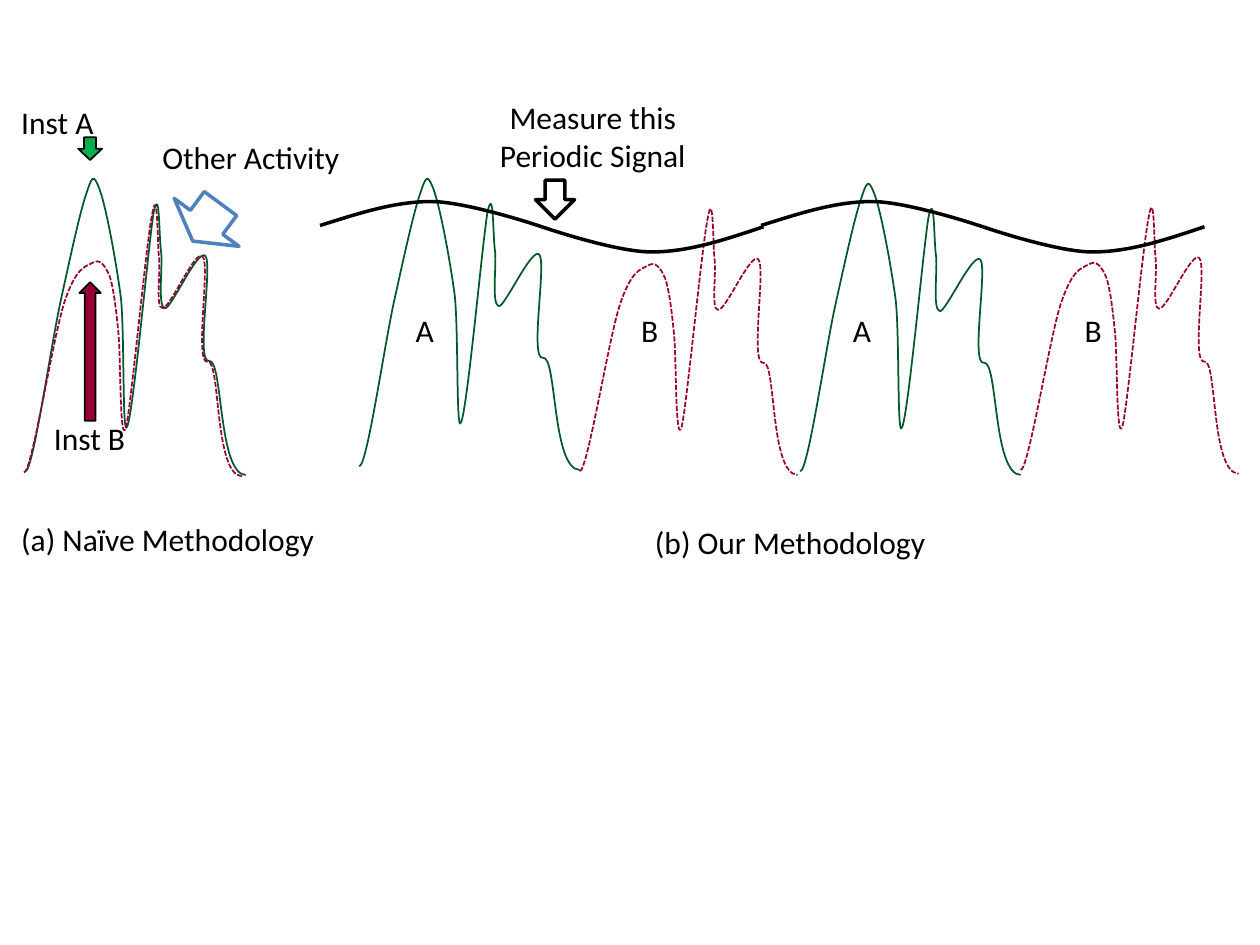
from dataclasses import dataclass

from lxml import etree
from pptx import Presentation
from pptx.dml.color import RGBColor
from pptx.enum.dml import MSO_LINE
from pptx.enum.shapes import MSO_SHAPE
from pptx.enum.text import MSO_AUTO_SIZE, PP_ALIGN
from pptx.oxml.ns import qn
from pptx.util import Pt

PX = 9144  # EMU in one px, 100 px to the inch
BLANK_LAYOUT = 6
DOWN_ARROW = MSO_SHAPE.DOWN_ARROW
SHORT_DASH = MSO_LINE.SQUARE_DOT
CENTER, LEFT = PP_ALIGN.CENTER, PP_ALIGN.LEFT
FIT_SHAPE = MSO_AUTO_SIZE.SHAPE_TO_FIT_TEXT


@dataclass(frozen=True)
class Theme:
    font: str = "Calibri"
    size: int = 18
    ink: str = "000000"
    inst_a: str = "005828"
    inst_b: str = "990033"
    marker_a: str = "00B050"
    other: str = "4F81BD"
    thin: int = 1
    thick: int = 2


THEME = Theme()

# Text, left, top, width, height, alignment
LABELS = [
    ("Inst A", 7, 77, 78, 40, LEFT),
    ("Inst B", 33, 328, 77, 40, LEFT),
    ("Other Activity", 119, 105, 162, 40, LEFT),
    ("Measure this\nPeriodic Signal", 386, 73, 169, 71, CENTER),
    ("A", 320, 242, 35, 40, LEFT),
    ("B", 499, 242, 34, 40, LEFT),
    ("A", 667, 242, 35, 40, LEFT),
    ("B", 851, 242, 34, 40, LEFT),
    ("(a) Naïve Methodology", 7, 408, 255, 40, LEFT),
    ("(b) Our Methodology", 510, 410, 237, 40, LEFT),
]

# Curves: design height, then start point and (control, control, end) triples
SIGNAL_A = (231, [
    (0, 228), (6, 230), (20, 132), (28, 96), (36, 60), (43, 28), (48, 13),
    (53, -2), (54, -5), (59, 8), (64, 21), (72, 63), (76, 93),
    (79, 124), (77, 205), (81, 193), (86, 182), (98, 49), (102, 26),
    (107, 4), (106, 46), (108, 58), (109, 71), (105, 100), (111, 101),
    (116, 101), (137, 54), (143, 60), (149, 67), (135, 144), (146, 142),
    (157, 140), (153, 230), (175, 231),
])
SIGNAL_B = (211, [
    (0, 208), (6, 210), (23, 103), (32, 76), (41, 49), (48, 48), (54, 45),
    (60, 41), (64, 46), (68, 55), (71, 64), (73, 79), (75, 99),
    (77, 119), (76, 189), (81, 173), (85, 158), (97, 29), (102, 6),
    (106, -16), (106, 26), (107, 38), (109, 51), (104, 80), (110, 80),
    (116, 81), (136, 33), (142, 40), (148, 47), (135, 124), (146, 122),
    (156, 120), (151, 210), (173, 211),
])
CREST = (20, [(0, 19), (29, 10), (58, 0), (88, 0), (117, 0), (176, 20), (176, 20)])
TROUGH = (20, [(0, 0), (0, 0), (58, 20), (87, 20), (117, 20), (146, 10), (176, 0)])

# Line style of each curve: colour, width, dash
STYLE_A = (THEME.inst_a, THEME.thin, None)
STYLE_B = (THEME.inst_b, THEME.thin, SHORT_DASH)
STYLE_WAVE = (THEME.ink, THEME.thick, None)

# Curve, left, top, height, style
NAIVE_SIGNALS = [(SIGNAL_A, 20, 142, 235, STYLE_A), (SIGNAL_B, 19, 163, 215, STYLE_B)]
OUR_SIGNALS = [
    (SIGNAL_A, 285, 142, 231, STYLE_A),
    (SIGNAL_B, 460, 166, 211, STYLE_B),
    (SIGNAL_A, 635, 146, 231, STYLE_A),
    (SIGNAL_B, 810, 165, 211, STYLE_B),
]
PERIOD = 350
PERIODIC_SIGNAL = [
    (curve, left + PERIOD * cycle, top, 20, STYLE_WAVE)
    for cycle in range(2)
    for curve, left, top in [(CREST, 254, 160), (TROUGH, 430, 180)]
]

# Left, top, width, height, rotation, fill, line colour, line width
INST_B_ARROW = (63, 224, 17, 110, 180, THEME.inst_b, THEME.ink, THEME.thin)
POINTERS = [
    (62, 109, 19, 18, 0, THEME.marker_a, THEME.ink, THEME.thin),
    (425, 143, 31, 31, 0, None, THEME.ink, THEME.thick),
    (132, 158, 64, 37, 36.5, None, THEME.other, THEME.thick),
]


def format_shape(shape, fill, line, width):
    shape.shadow.inherit = False
    if fill:
        shape.fill.solid()
        shape.fill.fore_color.rgb = RGBColor.from_string(fill)
    else:
        shape.fill.background()
    shape.line.color.rgb = RGBColor.from_string(line)
    shape.line.width = Pt(width)


def add_command(outline, tag, points):
    command = etree.SubElement(outline, qn(tag))
    for x, y in points:
        etree.SubElement(command, qn("a:pt"), x=str(round(x)), y=str(round(y)))


def add_curve(shapes, curve, left, top, height, style):
    design_height, knots = curve
    width = knots[-1][0]

    # The diagonal sets the box; the curve then takes its place
    builder = shapes.build_freeform(left * PX, top * PX)
    builder.add_line_segments([((left + width) * PX, (top + height) * PX)], close=False)
    shape = builder.convert_to_shape()
    outline = next(shape.element.iter(qn("a:path")))
    for command in list(outline):
        outline.remove(command)
    points = [(x * PX, y * PX * height / design_height) for x, y in knots]
    add_command(outline, "a:moveTo", points[:1])
    for first in range(1, len(points), 3):
        add_command(outline, "a:cubicBezTo", points[first:first + 3])

    color, line_width, dash = style
    format_shape(shape, None, color, line_width)
    if dash:
        shape.line.dash_style = dash


def add_arrow(shapes, left, top, width, height, rotation, fill, line, line_width):
    box = [value * PX for value in (left, top, width, height)]
    shape = shapes.add_shape(DOWN_ARROW, *box)
    shape.rotation = rotation
    format_shape(shape, fill, line, line_width)


def add_label(shapes, text, left, top, width, height, alignment):
    box = [value * PX for value in (left, top, width, height)]
    frame = shapes.add_textbox(*box).text_frame
    frame.word_wrap = False
    frame.auto_size = FIT_SHAPE
    paragraph = frame.paragraphs[0]
    paragraph.text = text
    paragraph.alignment = alignment
    paragraph.font.name = THEME.font
    paragraph.font.size = Pt(THEME.size)
    paragraph.font.color.rgb = RGBColor.from_string(THEME.ink)


def main():
    presentation = Presentation()
    presentation.slide_width = 1000 * PX
    presentation.slide_height = 750 * PX
    slide = presentation.slides.add_slide(presentation.slide_layouts[BLANK_LAYOUT])

    # Signals, one group per set
    for signals in (NAIVE_SIGNALS, OUR_SIGNALS, PERIODIC_SIGNAL):
        group = slide.shapes.add_group_shape()
        for signal in signals:
            add_curve(group.shapes, *signal)
        if signals is NAIVE_SIGNALS:
            add_arrow(group.shapes, *INST_B_ARROW)

    # Pointers and labels
    for pointer in POINTERS:
        add_arrow(slide.shapes, *pointer)
    for label in LABELS:
        add_label(slide.shapes, *label)

    presentation.save("out.pptx")


if __name__ == "__main__":
    main()
